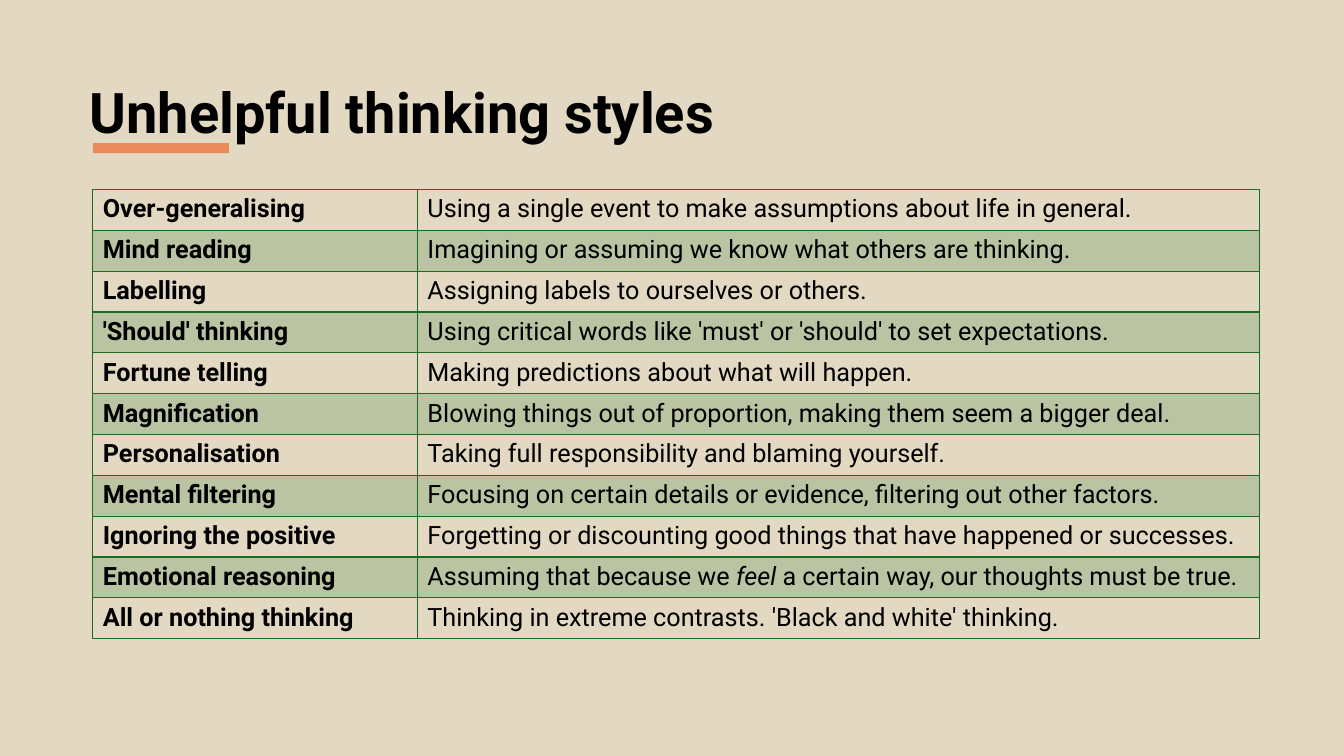
from lxml.etree import SubElement
from pptx import Presentation
from pptx.dml.color import RGBColor
from pptx.enum.shapes import MSO_SHAPE
from pptx.enum.text import MSO_ANCHOR, MSO_AUTO_SIZE, PP_ALIGN
from pptx.oxml import parse_xml
from pptx.oxml.ns import nsdecls, qn
from pptx.util import Inches, Pt

FONT = "Roboto"
SAND, ORANGE, GREEN, BLACK = "E3D9C2", "EB8A5C", "196B24", "000000"
LEFT_EDGE = 0.92
COLUMN_WIDTHS = (3.22, 8.35)
ROW_HEIGHT = 4.46 / 11

# Asterisks enclose italic words
THINKING_STYLES = [
    ("Over-generalising", "Using a single event to make assumptions about life in general."),
    ("Mind reading", "Imagining or assuming we know what others are thinking."),
    ("Labelling", "Assigning labels to ourselves or others."),
    ("'Should' thinking", "Using critical words like 'must' or 'should' to set expectations."),
    ("Fortune telling", "Making predictions about what will happen."),
    ("Magnification", "Blowing things out of proportion, making them seem a bigger deal."),
    ("Personalisation", "Taking full responsibility and blaming yourself."),
    ("Mental filtering", "Focusing on certain details or evidence, filtering out other factors."),
    ("Ignoring the positive",
     "Forgetting or discounting good things that have happened or successes."),
    ("Emotional reasoning",
     "Assuming that because we *feel* a certain way, our thoughts must be true."),
    ("All or nothing thinking", "Thinking in extreme contrasts. 'Black and white' thinking."),
]


def set_fill(fill, color):
    fill.solid()
    fill.fore_color.rgb = RGBColor.from_string(color)


def set_font(font, size, bold):
    font.name = FONT
    font.size = Pt(size)
    font.bold = bold
    font.color.rgb = RGBColor.from_string(BLACK)


def add_title(slide, text):
    title = slide.shapes.title
    title.left, title.top = Inches(0.79), Inches(0.42)
    title.width, title.height = Inches(11.5), Inches(1.45)
    frame = title.text_frame
    frame.text = text
    frame.auto_size = MSO_AUTO_SIZE.NONE
    frame.vertical_anchor = MSO_ANCHOR.MIDDLE
    paragraph = frame.paragraphs[0]
    paragraph.alignment = PP_ALIGN.LEFT
    paragraph.line_spacing = 0.9
    set_font(paragraph.font, 40, True)


def add_accent_bar(slide):
    bar = slide.shapes.add_shape(MSO_SHAPE.RECTANGLE, Inches(LEFT_EDGE), Inches(1.42),
                                 Inches(1.35), Inches(0.1))
    bar.shadow.inherit = False
    set_fill(bar.fill, ORANGE)
    bar.line.fill.background()


def shade_cell(cell, color, opacity):
    set_fill(cell.fill, color)
    color_element = cell._tc.tcPr.find(qn("a:solidFill"))[0]
    SubElement(color_element, qn("a:alpha"), val=str(opacity * 1000))


def set_borders(cell, color, width):
    properties = cell._tc.get_or_add_tcPr()
    for position, side in enumerate("LRTB"):
        properties.insert(position, parse_xml(
            f'<a:ln{side} {nsdecls("a")} w="{Pt(width)}"><a:solidFill>'
            f'<a:srgbClr val="{color}"/></a:solidFill></a:ln{side}>'))


def write_cell(cell, text, bold):
    paragraph = cell.text_frame.paragraphs[0]
    for index, part in enumerate(text.split("*")):
        run = paragraph.add_run()
        run.text = part
        if index % 2:
            run.font.italic = True
    set_font(paragraph.font, 18, bold)


def add_styles_table(slide):
    row_count = len(THINKING_STYLES)
    table = slide.shapes.add_table(
        row_count, len(COLUMN_WIDTHS), Inches(LEFT_EDGE), Inches(1.88),
        Inches(sum(COLUMN_WIDTHS)), Inches(ROW_HEIGHT * row_count)).table
    table.first_row = table.horz_banding = False
    for column, width in zip(table.columns, COLUMN_WIDTHS):
        column.width = Inches(width)
    for row_index, texts in enumerate(THINKING_STYLES):
        table.rows[row_index].height = Inches(ROW_HEIGHT)
        for column_index, text in enumerate(texts):
            cell = table.cell(row_index, column_index)
            write_cell(cell, text, bold=column_index == 0)
            if row_index % 2:
                shade_cell(cell, GREEN, 20)
            else:
                cell.fill.background()
            set_borders(cell, GREEN, 1)


def main():
    presentation = Presentation()
    presentation.slide_width, presentation.slide_height = Inches(13.33), Inches(7.5)
    slide = presentation.slides.add_slide(presentation.slide_layouts[5])
    set_fill(slide.background.fill, SAND)

    # Heading
    add_title(slide, "Unhelpful thinking styles")
    add_accent_bar(slide)

    # Styles and their meanings
    add_styles_table(slide)
    presentation.save("out.pptx")


if __name__ == "__main__":
    main()
